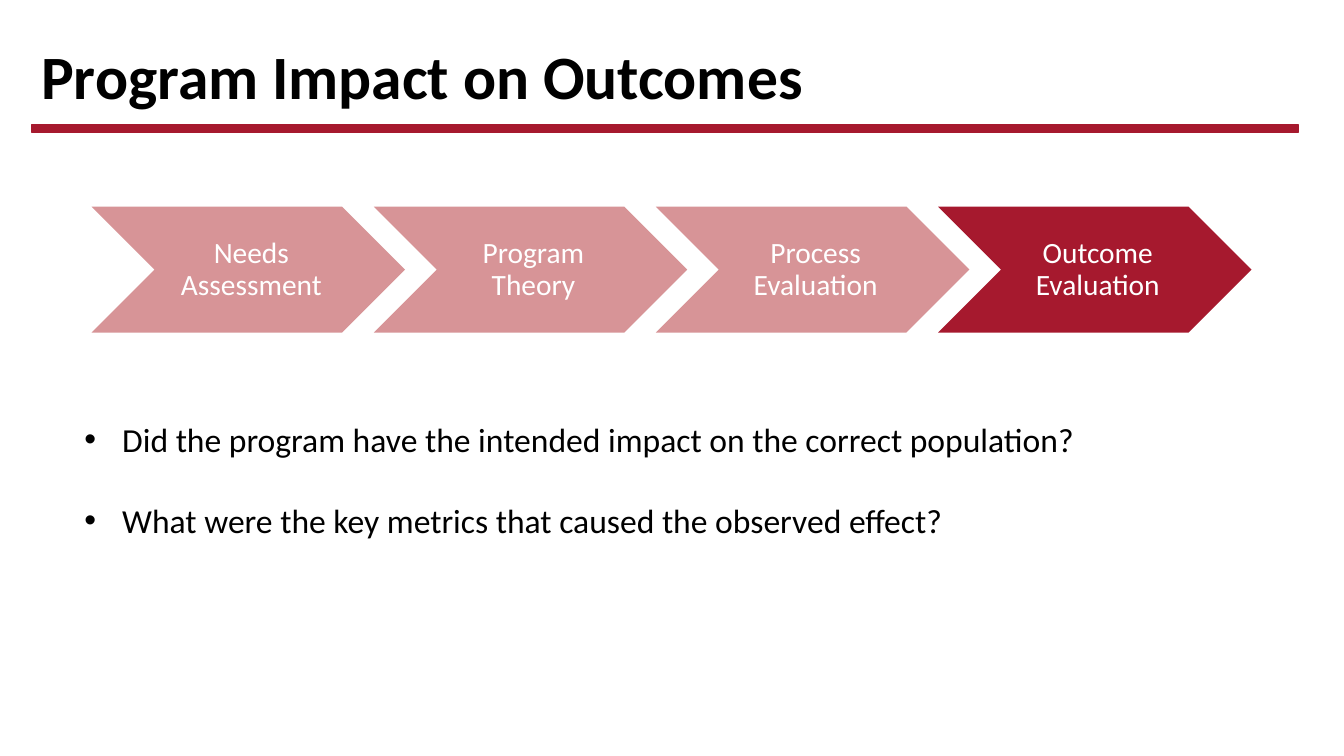
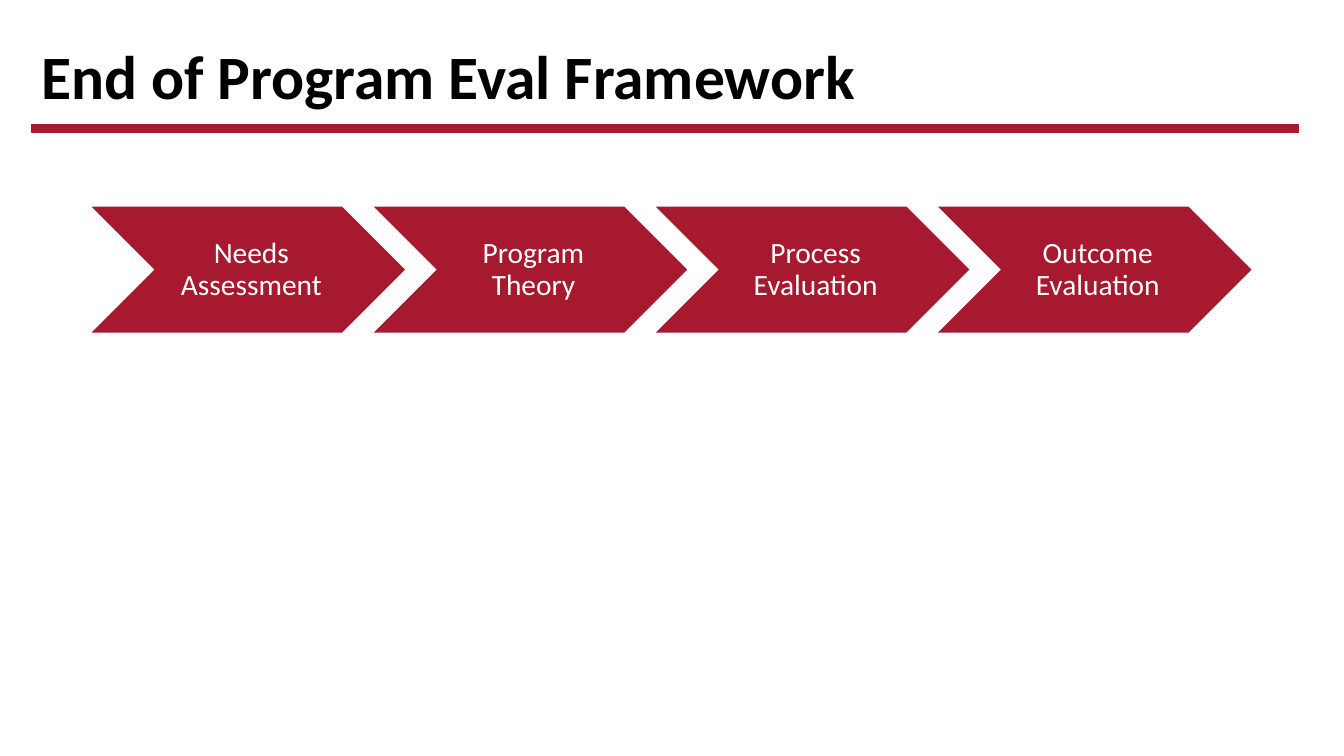
from dataclasses import dataclass

from lxml import etree
from pptx import Presentation
from pptx import util as u
from pptx.dml.color import RGBColor
from pptx.enum import shapes, text
from pptx.oxml.ns import qn


@dataclass(frozen=True)
class Theme:
    font: str = "Calibri"
    crimson: RGBColor = RGBColor(0xA6, 0x19, 0x2E)
    faded: RGBColor = RGBColor(0xD7, 0x94, 0x97)
    ink: RGBColor = RGBColor(0, 0, 0)
    paper: RGBColor = RGBColor(255, 255, 255)
    title_size: u.Pt = u.Pt(44)
    step_size: u.Pt = u.Pt(21)
    body_size: u.Pt = u.Pt(24)


theme = Theme()

STEPS = ["Needs Assessment", "Program Theory", "Process Evaluation", "Outcome Evaluation"]
SLIDES = [
    {
        "title": "Program Impact on Outcomes",
        "active": {"Outcome Evaluation"},
        "questions": [
            "Did the program have the intended impact on the correct population?",
            "What were the key metrics that caused the observed effect?",
        ],
    },
    {"title": "End of Program Eval Framework", "active": set(STEPS), "questions": []},
]

STEP_LEFT, STEP_TOP = u.Cm(2.31), u.Cm(5.21)
STEP_WIDTH, STEP_HEIGHT = u.Cm(7.9), u.Cm(3.17)
STEP_PITCH = u.Cm(7.11)
BULLET_INDENT = u.Cm(0.95)


def write(shape, lines, size, color, frame_format, paragraph_format, bold=False):
    """Fill a shape with one formatted paragraph per line."""
    frame = shape.text_frame
    frame.word_wrap = True
    for name, value in frame_format.items():
        setattr(frame, name, value)
    frame.text = "\n".join(lines)
    for paragraph in frame.paragraphs:
        for name, value in paragraph_format.items():
            setattr(paragraph, name, value)
        font = paragraph.runs[0].font
        for name, value in {"name": theme.font, "size": size, "bold": bold}.items():
            setattr(font, name, value)
        font.color.rgb = color
    return frame


def add_block(slide, kind, left, top, width, height, color):
    """Add a flat, single-colour preset shape."""
    shape = slide.shapes.add_shape(kind, left, top, width, height)
    shape.shadow.inherit = False
    shape.fill.solid()
    shape.fill.fore_color.rgb = color
    shape.line.fill.background()
    return shape


presentation = Presentation()
presentation.slide_width, presentation.slide_height = u.Cm(33.87), u.Cm(19.05)

for content in SLIDES:
    slide = presentation.slides.add_slide(presentation.slide_layouts[6])

    # Title and rule
    title = slide.shapes.add_textbox(u.Cm(0.79), u.Cm(0.84), u.Cm(29.21), u.Cm(2.31))
    write(title, [content["title"]], theme.title_size, theme.ink,
          {"vertical_anchor": text.MSO_ANCHOR.MIDDLE}, {"line_spacing": 0.9}, bold=True)
    rule = add_block(slide, shapes.MSO_SHAPE.RECTANGLE,
                     u.Cm(0.79), u.Cm(3.15), u.Cm(31.93), u.Cm(0.18), theme.crimson)
    rule.line.color.rgb = theme.crimson
    rule.line.width = u.Pt(1)

    # Evaluation steps
    for index, step in enumerate(STEPS):
        color = theme.crimson if step in content["active"] else theme.faded
        chevron = add_block(slide, shapes.MSO_SHAPE.CHEVRON, STEP_LEFT + index * STEP_PITCH,
                            STEP_TOP, STEP_WIDTH, STEP_HEIGHT, color)
        write(chevron, [step], theme.step_size, theme.paper,
              {"vertical_anchor": text.MSO_ANCHOR.MIDDLE, "margin_left": u.Cm(0.23),
               "margin_right": u.Cm(0.08), "margin_top": u.Cm(0.08), "margin_bottom": u.Cm(0.08)},
              {"alignment": text.PP_ALIGN.CENTER, "line_spacing": 0.9})

    # Bulleted questions
    if content["questions"]:
        body = slide.shapes.add_textbox(u.Cm(1.88), u.Cm(10.44), u.Cm(25.93), u.Cm(3.33))
        frame = write(body, content["questions"], theme.body_size, theme.ink, {}, {})
        for index, paragraph in enumerate(frame.paragraphs):
            paragraph.space_before = u.Pt(29 if index else 0)
            properties = paragraph._p.get_or_add_pPr()
            properties.set("marL", str(BULLET_INDENT))
            properties.set("indent", str(-BULLET_INDENT))
            etree.SubElement(properties, qn("a:buFont"), typeface="Arial")
            etree.SubElement(properties, qn("a:buChar"), char="•")

presentation.save("out.pptx")
